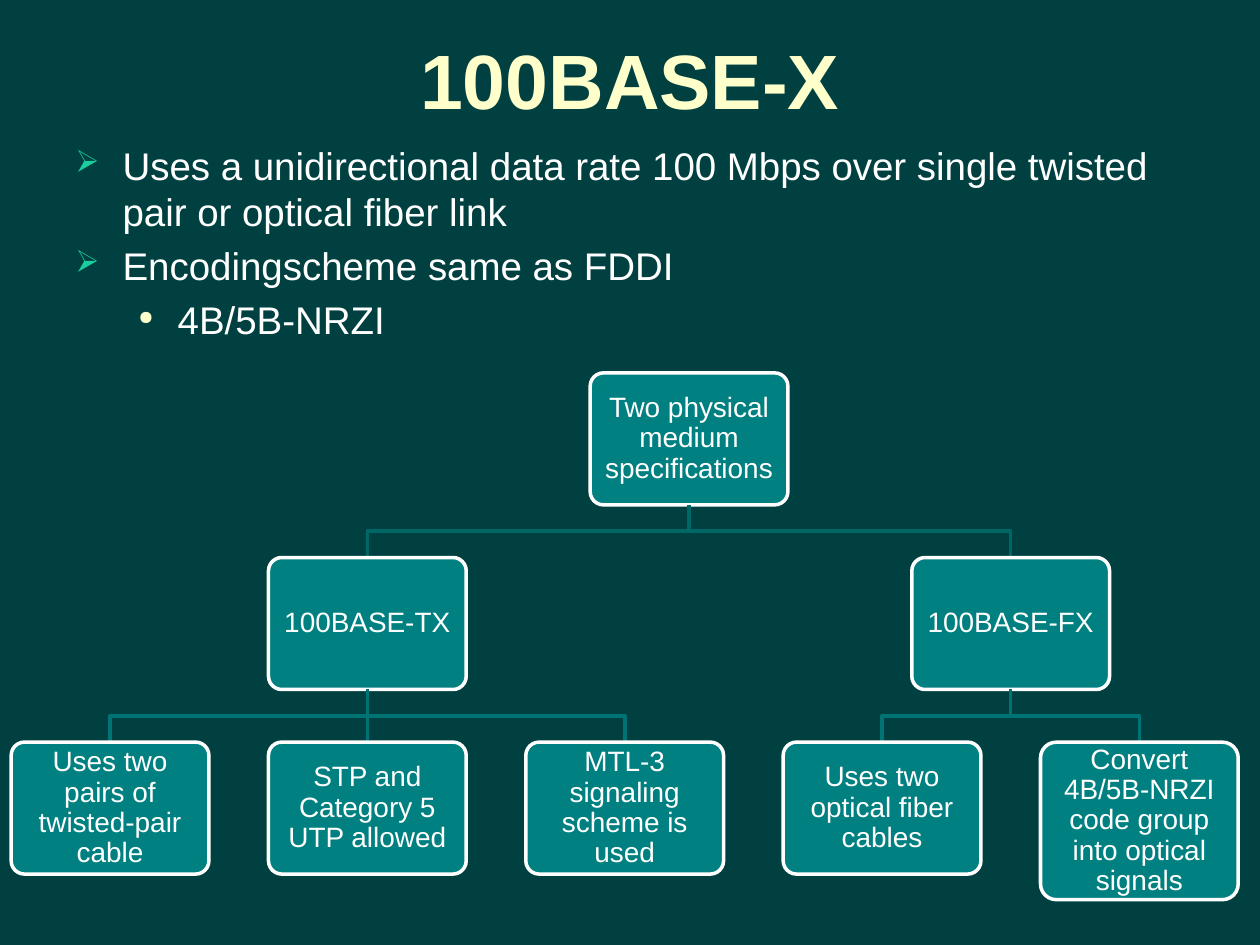
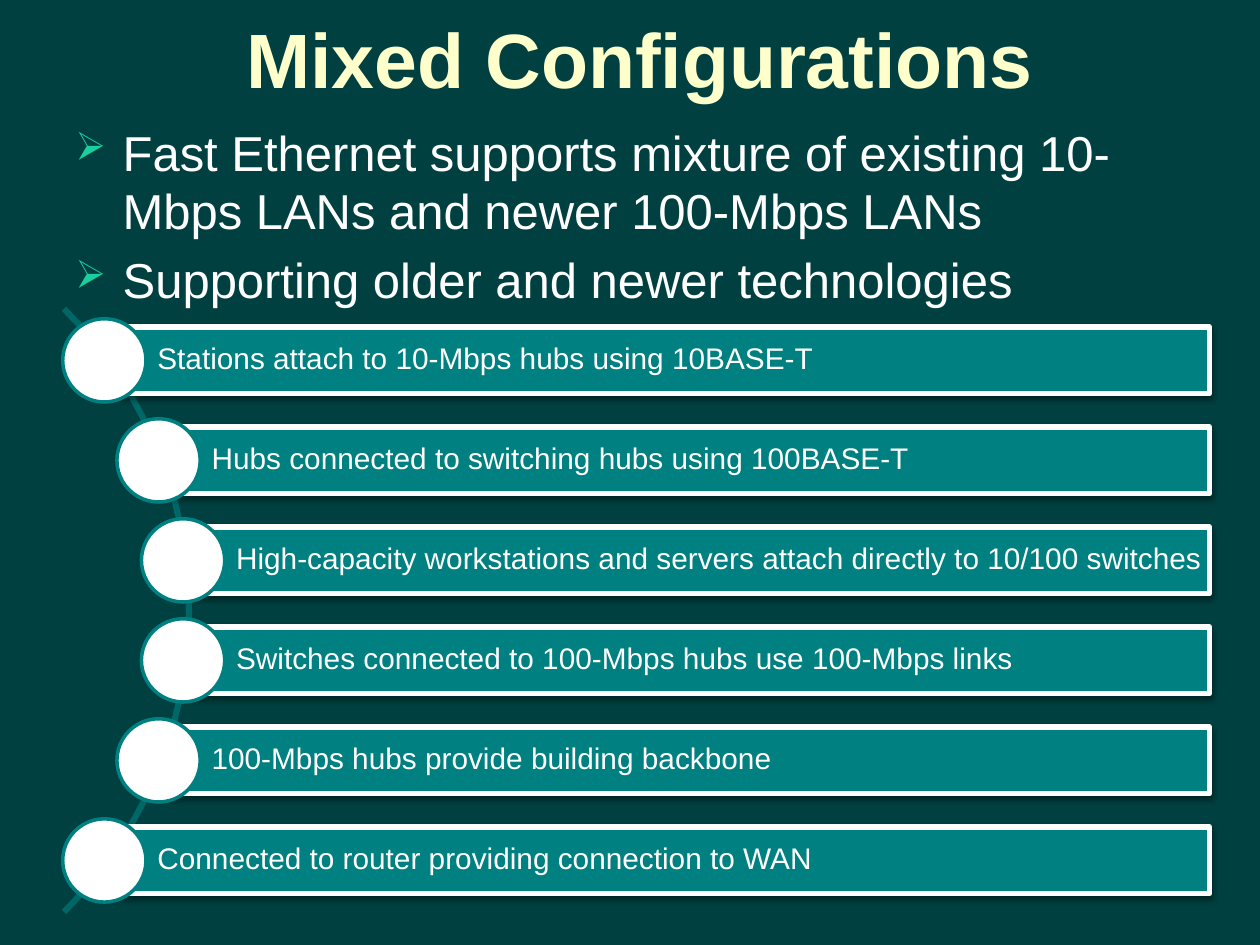
import math
from lxml import etree
from pptx import Presentation, util as u
from pptx.dml.color import RGBColor
from pptx.enum import shapes, text
from pptx.oxml.ns import qn

Pt = u.Pt
HUES = {"back": "004040", "title": "FFFFCC", "text": "FFFFFF", "fill": "008080",
        "mark": "1ACE9F", "dot": "FFFFCC", "upper": "006767", "lower": "007474",
        "shade": "000000"}
FONT = "Arial"
ALIGN = text.PP_ALIGN
KIND = shapes.MSO_SHAPE
BULLETS = [("➢", "mark", 80, 27, 27), ("●", "dot", 50, 58.5, 22.5)]

TREE = ("Two physical medium specifications", [
    ("100BASE-TX", [
        ("Uses two pairs of twisted-pair cable", []),
        ("STP and Category 5 UTP allowed", []),
        ("MTL-3 signaling scheme is used", [])]),
    ("100BASE-FX", [
        ("Uses two optical fiber cables", []),
        ("Convert 4B/5B-NRZI code group into optical signals", [])])])
STEPS = ["Stations attach to 10-Mbps hubs using 10BASE-T",
         "Hubs connected to switching hubs using 100BASE-T",
         "High-capacity workstations and servers attach directly to 10/100 switches",
         "Switches connected to 100-Mbps hubs use 100-Mbps links",
         "100-Mbps hubs provide building backbone",
         "Connected to router providing connection to WAN"]


def hue(name):
    return RGBColor.from_string(HUES[name])


def add(parent, tag, **attrs):
    return etree.SubElement(parent, qn(tag), {k: str(v) for k, v in attrs.items()})


def write(para, words, size=16, color="text", bold=False, align=ALIGN.LEFT,
          lines=None, before=None):
    para.alignment = align
    if lines:
        para.line_spacing = lines
    if before:
        para.space_before = Pt(before)
    run = para.add_run()
    run.text = words
    run.font.name = FONT
    run.font.size = Pt(size)
    run.font.bold = bold
    run.font.color.rgb = hue(color)


class Deck:
    def __init__(self):
        self.prs = Presentation()
        self.prs.slide_width, self.prs.slide_height = Pt(720), Pt(540)
        fill = self.prs.slide_master.background.fill
        fill.solid()
        fill.fore_color.rgb = hue("back")

    def start(self, words, left, top):
        self.slide = self.prs.slides.add_slide(self.prs.slide_layouts[5])
        self.items = self.slide.shapes
        head = self.items.title
        head.left, head.top, head.width, head.height = map(Pt, (left, top, 648, 90))
        head.text_frame.vertical_anchor = text.MSO_ANCHOR.MIDDLE
        write(head.text_frame.paragraphs[0], words, size=44, color="title",
              bold=True, align=ALIGN.CENTER)

    def body(self, rows, area, size):
        frame = self.items.add_textbox(*map(Pt, area)).text_frame
        frame.word_wrap = True
        for i, (level, words) in enumerate(rows):
            para = frame.add_paragraph() if i else frame.paragraphs[0]
            para.level = level
            write(para, words, size=size, before=size * 0.2)
            sign, color, scale, left, hang = BULLETS[level]
            props = para._p.get_or_add_pPr()
            props.set("marL", str(Pt(left)))
            props.set("indent", str(-Pt(hang)))
            add(add(props, "a:buClr"), "a:srgbClr", val=HUES[color])
            add(props, "a:buSzPct", val=scale * 1000)
            add(props, "a:buChar", char=sign)

    def stroke(self, item, color, width):
        item.line.color.rgb = hue(color)
        item.line.width = Pt(width)

    def shape(self, kind, area, fill="fill", line="text", width=2):
        item = self.items.add_shape(kind, *map(Pt, area))
        item.shadow.inherit = False
        item.fill.solid()
        item.fill.fore_color.rgb = hue(fill)
        self.stroke(item, line, width)
        return item

    def label(self, item, words, insets, **form):
        frame = item.text_frame
        frame.word_wrap = True
        frame.vertical_anchor = text.MSO_ANCHOR.MIDDLE
        (frame.margin_left, frame.margin_top,
         frame.margin_right, frame.margin_bottom) = map(Pt, insets)
        write(frame.paragraphs[0], words, lines=0.9, **form)

    def shade(self, item):
        effects = item._element.spPr.find(qn("a:effectLst"))
        drop = add(effects, "a:outerShdw", blurRad=Pt(3.1), dist=Pt(1.6),
                   dir=5400000, rotWithShape=0)
        add(add(drop, "a:srgbClr", val=HUES["shade"]), "a:alpha", val=38000)

    def curve(self, points, color, width):
        spots = [(Pt(x), Pt(y)) for x, y in points]
        pen = self.items.build_freeform(*spots[0])
        pen.add_line_segments(spots[1:], close=False)
        item = pen.convert_to_shape()
        item.shadow.inherit = False
        item.fill.background()
        self.stroke(item, color, width)

    def link(self, x, top, low, color):
        item = self.items.add_connector(shapes.MSO_CONNECTOR.STRAIGHT,
                                        Pt(x), Pt(top), Pt(x), Pt(low))
        add(item._element.spPr, "a:effectLst")
        self.stroke(item, color, 2)
        return item

    def save(self):
        self.prs.save("out.pptx")


def center(node, first=0):
    words, kids = node
    if not kids:
        return 62.9 + 147.05 * first, first + 1
    spots = []
    for kid in kids:
        x, first = center(kid, first)
        spots.append(x)
    return (spots[0] + spots[-1]) / 2, first


def branch(deck, node, level=0, first=0):
    words, kids = node
    x, after = center(node, first)
    wide, high, step = 113, 75.4, 105.5
    top = 213.1 + step * level
    tall = 90 if len(words) > 40 else high
    box = deck.shape(KIND.ROUNDED_RECTANGLE, (x - wide / 2, top, wide, tall))
    box.adjustments[0] = 0.1
    deck.label(box, words, [5] * 4, align=ALIGN.CENTER)
    base, low = top + high, top + step
    color = "lower" if level else "upper"
    for kid in kids:
        end, after = center(kid, first)
        join = None
        if abs(end - x) < 1:
            join = deck.link(x, base, low, color)
            join.begin_connect(box, 2)
        else:
            mid = (base + low) / 2
            deck.curve([(x, base), (x, mid), (end, mid), (end, low)], color, 2)
        child = branch(deck, kid, level + 1, first)
        if join:
            join.end_connect(child, 0)
        first = after
    return box


def medium(deck):
    deck.start("100BASE-X", 36, 0)
    deck.body([(0, "Uses a unidirectional data rate 100 Mbps over single twisted "
                   "pair or optical fiber link"),
               (0, "Encodingscheme same as FDDI"),
               (1, "4B/5B-NRZI")], (36, 77.8, 648, 130), 22)
    branch(deck, TREE)


def mixed(deck):
    deck.start("Mixed Configurations", 41.8, -12.2)
    deck.body([(0, "Fast Ethernet supports mixture of existing 10-Mbps LANs "
                   "and newer 100-Mbps LANs"),
               (0, "Supporting older and newer technologies")],
              (36, 66.2, 666, 126), 28)
    hub, mid, reach = -135.7, 348.8, 243.7
    turns = [math.radians(a) for a in range(-45, 46, 3)]
    deck.curve([(hub + reach * math.cos(t), mid + reach * math.sin(t))
                for t in turns], "upper", 3.5)
    high, disc, right = 38.2, 47.6, 691.2
    for i, words in enumerate(STEPS):
        y = mid + 57.15 * (i - (len(STEPS) - 1) / 2)
        x = hub + math.sqrt(242 ** 2 - (y - mid) ** 2)
        bar = deck.shape(KIND.RECTANGLE, (x, y - high / 2, right - x, high), width=3)
        deck.shade(bar)
        deck.label(bar, words, (30.3, 3.6, 3.6, 3.6), size=17)
        deck.shape(KIND.OVAL, (x - disc / 2, y - disc / 2, disc, disc),
                   fill="text", line="fill")


def main():
    deck = Deck()
    medium(deck)
    mixed(deck)
    deck.save()


if __name__ == "__main__":
    main()
